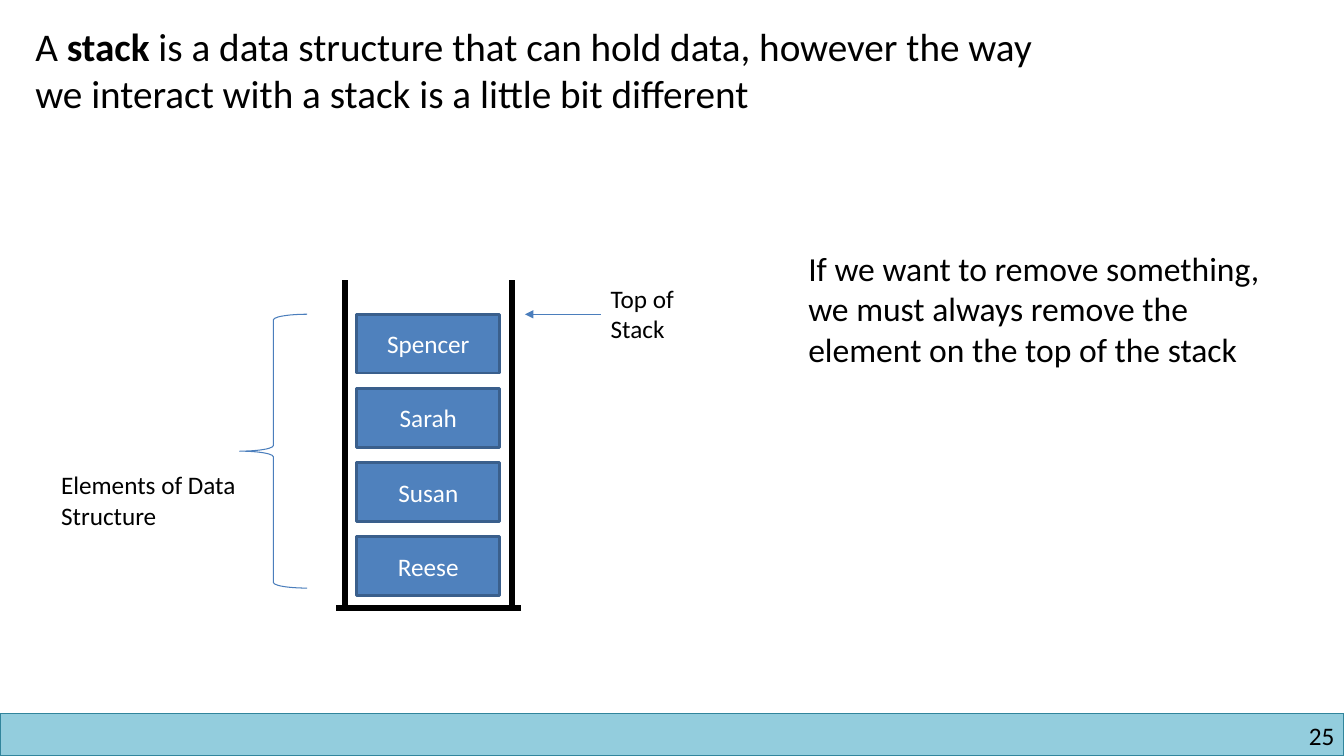
"""Build a slide that explains how a stack holds and removes its elements."""
from dataclasses import dataclass

from lxml import etree
from pptx import Presentation
from pptx.dml.color import RGBColor
from pptx.enum.shapes import MSO_CONNECTOR, MSO_SHAPE
from pptx.enum.text import MSO_ANCHOR, MSO_AUTO_SIZE, PP_ALIGN
from pptx.oxml.ns import qn
from pptx.shapes.autoshape import Shape
from pptx.shapes.connector import Connector
from pptx.slide import Slide
from pptx.text.text import TextFrame
from pptx.util import Cm, Pt

RECTANGLE = MSO_SHAPE.RECTANGLE
LEFT_BRACE = MSO_SHAPE.LEFT_BRACE
STRAIGHT = MSO_CONNECTOR.STRAIGHT
LEFT, CENTER, RIGHT = PP_ALIGN.LEFT, PP_ALIGN.CENTER, PP_ALIGN.RIGHT
TOP, MIDDLE = MSO_ANCHOR.TOP, MSO_ANCHOR.MIDDLE
FIT_SHAPE = MSO_AUTO_SIZE.SHAPE_TO_FIT_TEXT
LEFT_SIDE = 1

BLACK = RGBColor(0x00, 0x00, 0x00)
WHITE = RGBColor(0xFF, 0xFF, 0xFF)
ELEMENT_FILL = RGBColor(0x4F, 0x81, 0xBD)
ELEMENT_LINE = RGBColor(0x3A, 0x5F, 0x8C)
POINTER_BLUE = RGBColor(0x4B, 0x7E, 0xBC)
FOOTER_FILL = RGBColor(0x93, 0xCD, 0xDD)
FOOTER_LINE = RGBColor(0x31, 0x85, 0x9C)

SLIDE_WIDTH, SLIDE_HEIGHT = 33.87, 19.05
FOOTER_TOP = 17.98
WALL_TOP, BASE_Y = 7.06, 15.32
STACK_TOP, ELEMENT_LEFT, ELEMENT_PITCH = 7.92, 8.99, 1.87
ELEMENT_WIDTH, ELEMENT_HEIGHT = 3.61, 1.48
ELEMENTS = ("Spencer", "Sarah", "Susan", "Reese")


@dataclass(frozen=True)
class Box:
    left: float
    top: float
    width: float
    height: float

    def lengths(self) -> tuple[Cm, Cm, Cm, Cm]:
        return Cm(self.left), Cm(self.top), Cm(self.width), Cm(self.height)


@dataclass(frozen=True)
class Run:
    text: str
    bold: bool = False


@dataclass(frozen=True)
class Label:
    box: Box
    runs: tuple[Run, ...]
    size: float = 18
    alignment: PP_ALIGN = LEFT
    inset: bool = True


@dataclass(frozen=True)
class Line:
    start: tuple[float, float]
    end: tuple[float, float]
    color: RGBColor = BLACK
    weight: float = 4.5


TOP_LABEL = Label(Box(15.14, 7.02, 2.54, 1.8), (Run("Top of Stack"),))
LABELS = (
    Label(Box(25.83, 18.16, 7.8, 0.76), (Run("25"),), alignment=RIGHT, inset=False),
    Label(
        Box(0.64, 0.43, 26.24, 2.64),
        (
            Run("A "),
            Run("stack", bold=True),
            Run(" is a data structure that can hold data, however the way "
                "we interact with a stack is a little bit different"),
        ),
        size=28,
    ),
    Label(Box(1.29, 11.71, 4.98, 1.8), (Run("Elements of Data Structure"),)),
    Label(
        Box(20.12, 6.12, 12.07, 4.37),
        (Run("If we want to remove something, we must always remove the "
             "element on the top of the stack"),),
        size=24,
    ),
)
CONTAINER = (
    Line((8.69, WALL_TOP), (8.69, BASE_Y)),
    Line((12.9, WALL_TOP), (12.9, BASE_Y)),
    Line((13.13, BASE_Y), (8.46, BASE_Y)),
)
TOP_POINTER = Line((15.14, STACK_TOP), (13.23, STACK_TOP), POINTER_BLUE, 0.75)


def write_runs(frame: TextFrame, runs: tuple[Run, ...], size: float,
               color: RGBColor, alignment: PP_ALIGN) -> None:
    paragraph = frame.paragraphs[0]
    paragraph.alignment = alignment
    for item in runs:
        run = paragraph.add_run()
        run.text = item.text
        formats = {"name": "Calibri", "size": Pt(size), "bold": item.bold}
        for name, value in formats.items():
            setattr(run.font, name, value)
        run.font.color.rgb = color


def add_label(slide: Slide, label: Label) -> Shape:
    shape = slide.shapes.add_textbox(*label.box.lengths())
    frame = shape.text_frame
    formats = {"word_wrap": True, "auto_size": FIT_SHAPE, "vertical_anchor": TOP}
    if not label.inset:
        formats |= dict.fromkeys(
            ("margin_left", "margin_top", "margin_right", "margin_bottom"), 0)
    for name, value in formats.items():
        setattr(frame, name, value)
    write_runs(frame, label.runs, label.size, BLACK, label.alignment)
    return shape


def add_figure(slide: Slide, kind: MSO_SHAPE, box: Box, fill: RGBColor | None,
               line: RGBColor, weight: float) -> Shape:
    shape = slide.shapes.add_shape(kind, *box.lengths())
    shape.shadow.inherit = False
    if fill is None:
        shape.fill.background()
    else:
        shape.fill.solid()
        shape.fill.fore_color.rgb = fill
    shape.line.color.rgb = line
    shape.line.width = Pt(weight)
    return shape


def add_line(slide: Slide, line: Line) -> Connector:
    connector = slide.shapes.add_connector(
        STRAIGHT, *(Cm(value) for value in line.start + line.end))
    connector.line.color.rgb = line.color
    connector.line.width = Pt(line.weight)
    etree.SubElement(connector._element.spPr, qn("a:effectLst"))
    return connector


def add_stack(slide: Slide) -> None:
    for line in CONTAINER:
        add_line(slide, line)
    for index, name in enumerate(ELEMENTS):
        box = Box(ELEMENT_LEFT, STACK_TOP + index * ELEMENT_PITCH,
                  ELEMENT_WIDTH, ELEMENT_HEIGHT)
        shape = add_figure(slide, RECTANGLE, box, ELEMENT_FILL, ELEMENT_LINE, 2)
        shape.text_frame.vertical_anchor = MIDDLE
        write_runs(shape.text_frame, (Run(name),), 18, WHITE, CENTER)
    add_figure(slide, LEFT_BRACE, Box(6.04, STACK_TOP, 1.7, 6.9),
               None, POINTER_BLUE, 0.75)


def add_top_pointer(slide: Slide) -> None:
    label = add_label(slide, TOP_LABEL)
    arrow = add_line(slide, TOP_POINTER)
    arrow.begin_connect(label, LEFT_SIDE)
    etree.SubElement(arrow.line._get_or_add_ln(), qn("a:tailEnd"), type="triangle")


def main() -> None:
    presentation = Presentation()
    presentation.slide_width = Cm(SLIDE_WIDTH)
    presentation.slide_height = Cm(SLIDE_HEIGHT)
    slide = presentation.slides.add_slide(presentation.slide_layouts[6])
    footer = Box(0, FOOTER_TOP, SLIDE_WIDTH, SLIDE_HEIGHT - FOOTER_TOP)
    add_figure(slide, RECTANGLE, footer, FOOTER_FILL, FOOTER_LINE, 1)
    add_stack(slide)
    add_top_pointer(slide)
    for label in LABELS:
        add_label(slide, label)
    presentation.save("out.pptx")


if __name__ == "__main__":
    main()
